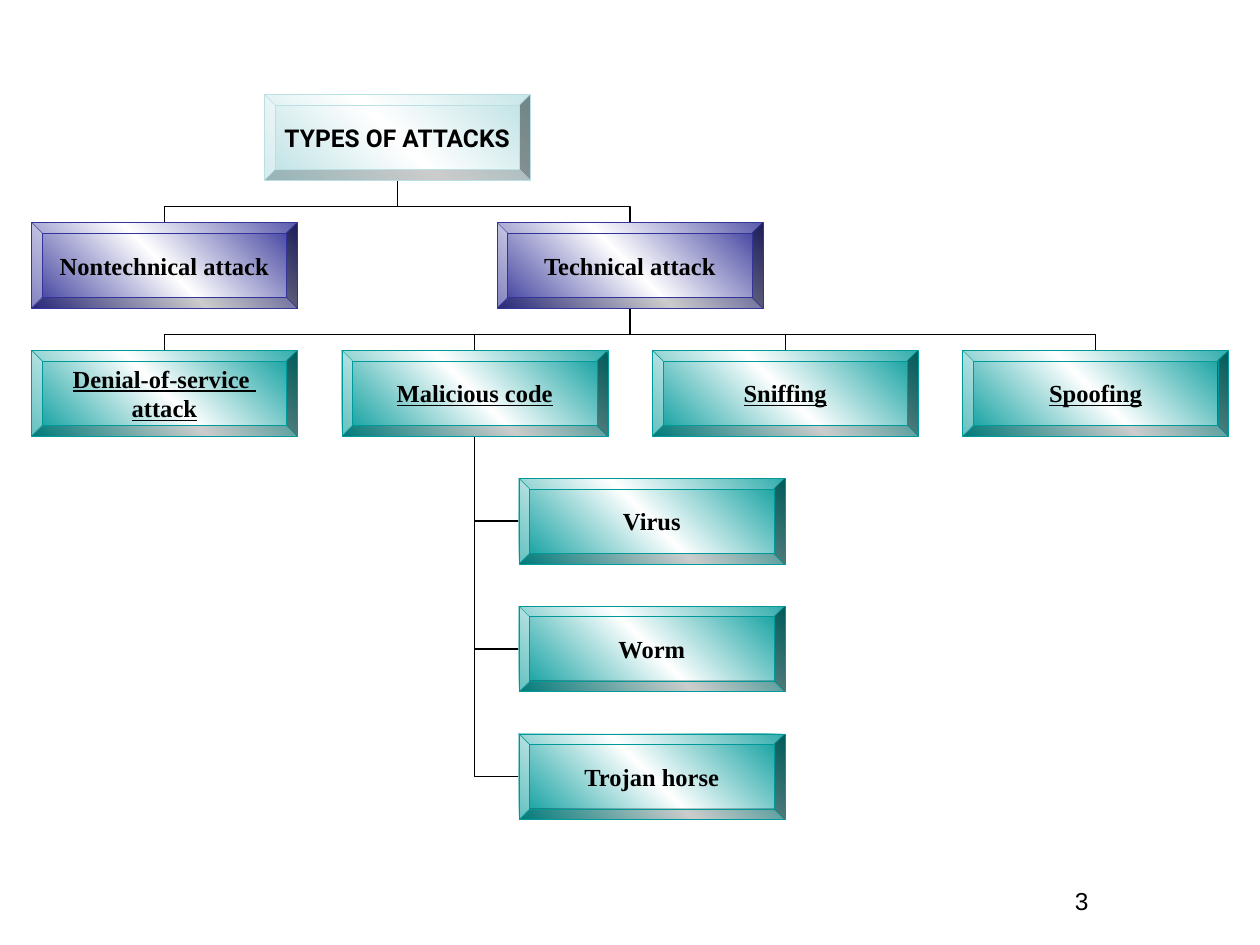
"""Build a slide with a tree chart of the types of attacks."""
from lxml.etree import SubElement
from pptx import Presentation
from pptx.dml.color import RGBColor
from pptx.enum.shapes import MSO_CONNECTOR, MSO_SHAPE
from pptx.enum.text import MSO_ANCHOR, PP_ALIGN
from pptx.oxml.ns import qn
from pptx.util import Inches, Pt

BLACK = RGBColor(0x00, 0x00, 0x00)
WHITE = RGBColor(0xFF, 0xFF, 0xFF)
PALE = RGBColor(0xBB, 0xE0, 0xE3)
INDIGO = RGBColor(0x33, 0x33, 0x99)
TEAL = RGBColor(0x00, 0x99, 0x99)
SERIF = "Times New Roman"

BOX_WIDTH, BOX_HEIGHT = 2.11, 0.68
MARGIN, TOP, ROW_STEP = 0.25, 0.75, 1.015
COLUMN_STEP = (10 - 2 * MARGIN - BOX_WIDTH) / 3
BRANCH_INDENT = 0.35

deck = Presentation()
deck.slide_width, deck.slide_height = Inches(10), Inches(7.5)
page = deck.slides.add_slide(deck.slide_layouts[6])


def add_elbow(left, top, width, height, preset, turn, flips=(), bend=None):
    line = page.shapes.add_connector(
        MSO_CONNECTOR.ELBOW, Inches(left), Inches(top), Inches(left + width), Inches(top + height))
    line.line.color.rgb = BLACK
    line.line.width = Pt(0.75)
    properties = line._element.spPr
    SubElement(properties, qn("a:effectLst"))
    frame = properties.find(qn("a:xfrm"))
    frame.set("rot", str(turn * 60000))
    for flip in flips:
        frame.set(flip, "1")
    geometry = properties.find(qn("a:prstGeom"))
    geometry.set("prst", preset)
    if bend:
        SubElement(geometry.find(qn("a:avLst")), qn("a:gd"), name="adj1", fmla=f"val {bend}")


def add_box(text, left, row, color, font_name=SERIF, underline=False):
    box = page.shapes.add_shape(MSO_SHAPE.BEVEL, Inches(left), Inches(TOP + row * ROW_STEP),
                                Inches(BOX_WIDTH), Inches(BOX_HEIGHT))
    box.shadow.inherit = False
    box.adjustments[0] = 0.125
    box.line.color.rgb = color
    box.line.width = Pt(0.25)
    box.fill.gradient()
    box.fill.gradient_angle = 225
    first, last = box.fill.gradient_stops
    first.color.rgb, first.position = color, 0
    last.color.rgb, last.position = color, 1
    stops = box._element.spPr.find(qn("a:gradFill")).find(qn("a:gsLst"))
    middle = SubElement(stops, qn("a:gs"), pos="50000")
    SubElement(middle, qn("a:srgbClr"), val=str(WHITE))
    stops.insert(1, middle)
    frame = box.text_frame
    frame.word_wrap = False
    frame.vertical_anchor = MSO_ANCHOR.MIDDLE
    frame.margin_left = frame.margin_right = frame.margin_top = frame.margin_bottom = 0
    frame.text = text
    for para in frame.paragraphs:
        para.alignment = PP_ALIGN.CENTER
        para.font.name, para.font.size, para.font.bold = font_name, Pt(14), True
        para.font.underline = underline
        para.font.color.rgb = BLACK


columns = [MARGIN + index * COLUMN_STEP for index in range(4)]
technical_left = (columns[0] + columns[3]) / 2
root_left = (columns[0] + technical_left) / 2
trunk = columns[1] + BOX_WIDTH / 2
branch_left = trunk + BRANCH_INDENT
branches = ["Virus", "Worm", "Trojan horse"]

for row in (5, 4, 3):
    drop = (row - 2) * ROW_STEP - BOX_HEIGHT / 2
    add_elbow(trunk, TOP + 2 * ROW_STEP + BOX_HEIGHT, BRANCH_INDENT, drop, "bentConnector2", 180)

gap = ROW_STEP - BOX_HEIGHT
links = [(technical_left, left, 1) for left in reversed(columns)]
links += [(root_left, left, 0) for left in (technical_left, columns[0])]
for parent, child, row in links:
    spread = abs(child - parent)
    center_x = (parent + child + BOX_WIDTH) / 2
    center_y = TOP + row * ROW_STEP + BOX_HEIGHT + gap / 2
    turn, flips = (270, ["flipV"]) if child > parent else (90, ["flipH", "flipV"])
    add_elbow(center_x - gap / 2, center_y - spread / 2, gap, spread,
              "bentConnector3", turn, flips, 36800)

add_box("TYPES OF ATTACKS", root_left, 0, PALE, "Roboto")
add_box("Nontechnical attack", columns[0], 1, INDIGO)
add_box("Technical attack", technical_left, 1, INDIGO)
attacks = ["Denial-of-service \nattack", "Malicious code", "Sniffing", "Spoofing"]
for text, left in zip(attacks, columns):
    add_box(text, left, 2, TEAL, underline=True)
for row, text in enumerate(branches, start=3):
    add_box(text, branch_left, row, TEAL)

number = page.shapes.add_textbox(Inches(7.17), Inches(6.98), Inches(2.83), Inches(0.52))
number.text_frame.word_wrap = True
number.text_frame.text = "3"
para = number.text_frame.paragraphs[0]
para.alignment = PP_ALIGN.CENTER
para.font.name, para.font.size = "Arial", Pt(14)
para.font.color.rgb = BLACK

deck.save("out.pptx")
